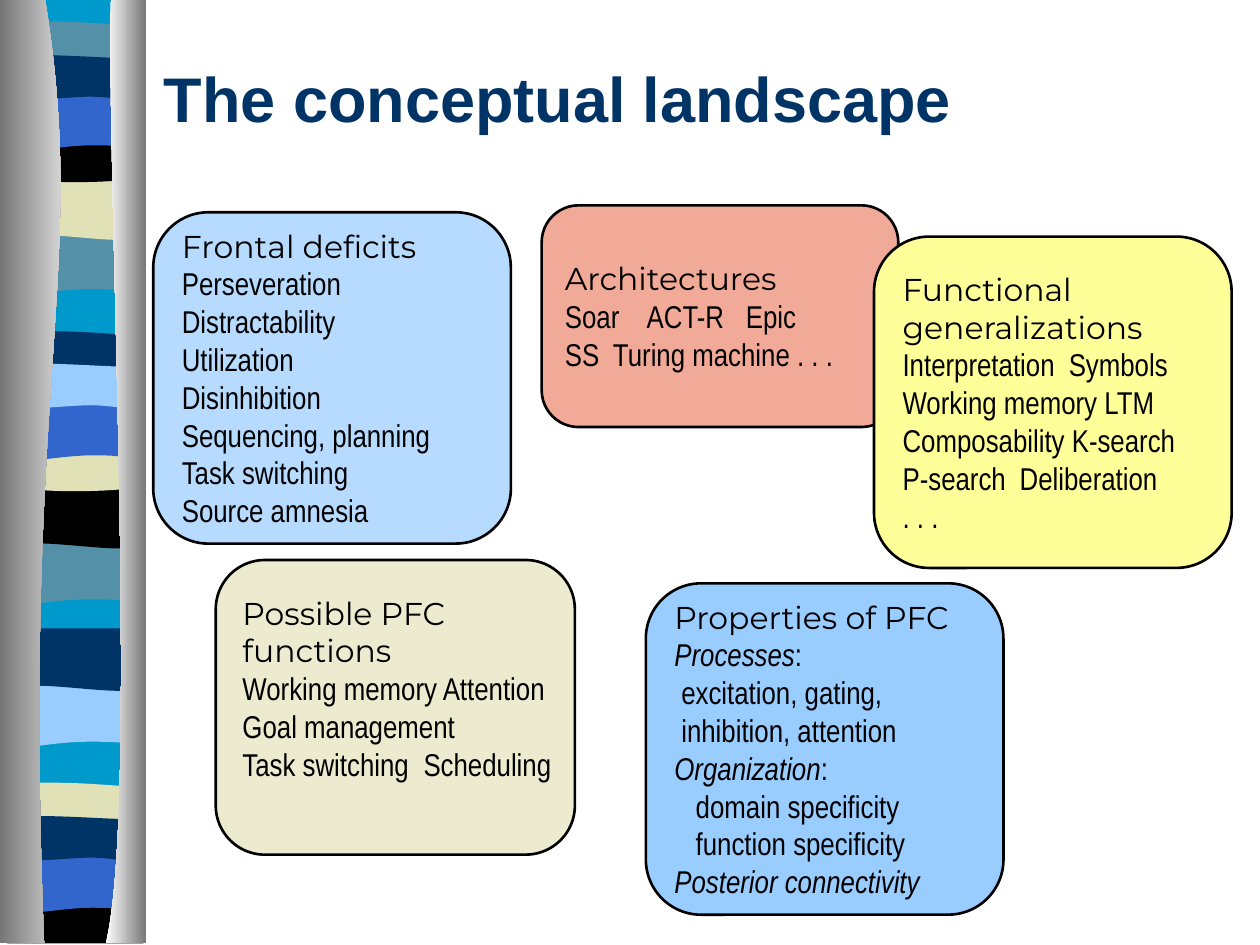
from dataclasses import dataclass

from lxml.etree import SubElement
from pptx import Presentation
from pptx.dml.color import RGBColor
from pptx.enum.shapes import MSO_SHAPE
from pptx.enum.text import MSO_ANCHOR, PP_ALIGN
from pptx.oxml.ns import qn
from pptx.util import Cm, Pt


@dataclass(frozen=True)
class Theme:
    navy: str = "003366"
    cyan: str = "0099CC"
    steel: str = "5490A8"
    blue: str = "3366CC"
    sky: str = "99CCFF"
    pale_blue: str = "B7DBFF"
    sand: str = "E1E1B7"
    cream: str = "ECEBCF"
    salmon: str = "F1AA97"
    yellow: str = "FFFF99"
    black: str = "000000"
    white: str = "FFFFFF"
    grey: str = "767676"
    title_font: str = "Arial"
    heading_font: str = "Montserrat"
    body_font: str = "Arial Narrow"
    title_size: int = 36
    body_size: int = 18


T = Theme()


def add_outline(shapes, edges, left=0, top=0):
    """Join edges into one closed shape; an edge of two points is straight,
    a longer one is a start followed by control, control, end triples."""
    pts = [(Cm(left + x), Cm(top + y)) for edge in edges for x, y in edge]
    builder = shapes.build_freeform(*pts[0], scale=1.0)
    builder.add_line_segments(pts[1:], close=True)
    sp = builder.convert_to_shape()
    sp.shadow.inherit = False
    sp.line.fill.background()
    steps = list(sp._element.iter(qn("a:moveTo"), qn("a:lnTo")))
    first = 0
    for edge in edges:
        for i in range(first + 1, first + len(edge) - 2, 3):
            curve = steps[i]
            curve.tag = qn("a:cubicBezTo")
            for step in steps[i + 1:i + 3]:
                curve.append(step[0])
                step.getparent().remove(step)
        first += len(edge)
    return sp


prs = Presentation()
prs.slide_width, prs.slide_height = Cm(25.4), Cm(19.05)
s = prs.slides.add_slide(prs.slide_layouts[5])

# Striped ribbon: each band is a top edge (left to right) and a bottom edge (back)
W = 2.74
FLAT = [(0, 0), (W, 0)]
SAG = [(0, 0), (1.68, 0.13), (2.16, 0), (W, 0)]
BANDS = {
    "dip": (FLAT, [(W, 1.19), (0.84, 0.99), (0.46, 1.39), (0, 1.19)]),
    "wave": (FLAT, [(W, 1.19), (2.29, 1.4), (0.84, 1.04), (0, 1.19)]),
    "thin": ([(0, 0.13), (0.15, 0), (0.58, 0.03), (1.04, 0.03),
              (1.5, 0.03), (2.39, 0.1), (W, 0.13)],
             [(W, 0.74), (2.29, 0.84), (0.46, 0.84), (0, 0.74)]),
    "bowl": (SAG, [(W, 0.82), (2.29, 0.97), (0.46, 0.97), (0, 0.82)]),
    "arch": (FLAT, [(W, 1.19), (2.31, 1.05), (2.13, 1.05), (1.68, 1.05),
                    (1.22, 1.05), (0.41, 1.19), (0, 1.19)]),
    "ripple": ([(0, 0.13), (0.38, 0), (1.85, 0.13), (2.31, 0.13),
                (2.77, 0.13), (2.64, 0.13), (W, 0.13)],
               [(W, 0.91), (2.56, 1.04), (2.13, 0.91), (1.68, 0.91),
                (1.22, 0.91), (0.28, 1.04), (0, 0.91)]),
    "end": (SAG, [(W, 0.94), (0, 0.94)]),
    "base": (FLAT, [(W, 19), (0, 19)]),
}
STRIPES = [
    ("base", 0, T.cyan),
    ("dip", 4.7, T.steel), ("wave", 3.58, T.sand), ("thin", 0.41, T.steel),
    ("bowl", 2.74, T.black), ("arch", 1.88, T.blue), ("ripple", 1.04, T.navy),
    ("dip", 10.95, T.steel), ("wave", 9.8, T.black), ("thin", 6.65, T.navy),
    ("bowl", 8.97, T.sand), ("arch", 8.13, T.blue), ("ripple", 7.26, T.sky),
    ("dip", 13.82, T.sky), ("wave", 12.67, T.navy), ("thin", 15.75, T.sand),
    ("end", 18.08, T.black), ("arch", 17.25, T.blue), ("ripple", 16.38, T.navy),
]
ribbon = s.shapes.add_group_shape()
for band, top, color in STRIPES:
    sp = add_outline(ribbon.shapes, BANDS[band], 0.15, top)
    sp.fill.solid()
    sp.fill.fore_color.rgb = RGBColor.from_string(color)

# Metallic edges over both sides of the ribbon
EDGES = [
    ([(0.91, 0), (1.8, 5.49), (0.43, 7.52), (0.89, 19.02)], 0, (T.grey, T.white)),
    ([(2.24, 0), (2.13, 3.18), (2.82, 16.41), (2.13, 19.02)], 2.95, (T.white, T.grey)),
]
for curve, side, colors in EDGES:
    sp = add_outline(ribbon.shapes, (curve, [(side, 19.02), (side, 0)]))
    sp.fill.gradient()
    sp.fill.gradient_angle = 0
    for stop, position, color in zip(sp.fill.gradient_stops, (0, 1), colors):
        stop.position = position
        stop.color.rgb = RGBColor.from_string(color)

# The ribbon belongs to the master, behind its placeholders
for number, props in enumerate(ribbon._element.iter(qn("p:cNvPr")), 100):
    props.set("id", str(number))
prs.slide_master.shapes._spTree.insert(2, ribbon._element)

title = s.shapes.title
title.left, title.top, title.width, title.height = Cm(3.05), Cm(0.37), Cm(21.59), Cm(3.18)
tf = title.text_frame
tf.text = "The conceptual landscape"
tf.vertical_anchor = MSO_ANCHOR.MIDDLE
p = tf.paragraphs[0]
p.alignment = PP_ALIGN.LEFT
f = p.runs[0].font
f.name, f.size, f.bold = T.title_font, Pt(T.title_size), True
f.color.rgb = RGBColor.from_string(T.navy)

# Box: position, fill, bottom inset, heading lines, body lines.
# Body line: text (italic part before "|"), indent, tab stops.
BOXES = [
    ((3.09, 4.28, 7.21, 6.68), T.pale_blue, 0.13, ["Frontal deficits"],
     [("Perseveration", 0, ()), ("Distractability", 0, ()), ("Utilization", 0, ()),
      ("Disinhibition", 0, ()), ("Sequencing, planning", 0, ()),
      ("Task switching", 0, ()), ("Source amnesia", 0, ())]),
    ((10.92, 4.14, 7.19, 4.47), T.salmon, 0.13, ["Architectures"],
     [("Soar\tACT-R\tEpic", 0, (1.65, 3.65)),
      ("SS\tTuring machine . . .", 0, (0.97,))]),
    ((13.02, 11.76, 7.21, 6.68), T.sky, 0.13, ["Properties of PFC"],
     [("Processes|:", 0, ()), ("excitation, gating,", 0.14, ()),
      ("inhibition, attention", 0.14, ()), ("Organization|:", 0, ()),
      ("domain specificity", 0.43, ()), ("function specificity", 0.43, ()),
      ("Posterior connectivity|", 0, ())]),
    ((4.35, 11.29, 7.24, 5.94), T.cream, 0.9, ["Possible PFC", "functions"],
     [("Working memory Attention", 0, ()), ("Goal management", 0, ()),
      ("Task switching\tScheduling", 0, (3.65,))]),
    ((17.62, 4.77, 7.21, 6.68), T.yellow, 0.13, ["Functional", "generalizations"],
     [("Interpretation\tSymbols", 0, (3.35,)), ("Working memory LTM", 0, ()),
      ("Composability K-search", 0, ()), ("P-search\tDeliberation", 0, (2.36,)),
      (". . .", 0, ())]),
]
for place, fill, bottom, heading, body in BOXES:
    sp = s.shapes.add_shape(MSO_SHAPE.ROUNDED_RECTANGLE, *map(Cm, place))
    sp.shadow.inherit = False
    sp.fill.solid()
    sp.fill.fore_color.rgb = RGBColor.from_string(fill)
    sp.line.color.rgb = RGBColor.from_string(T.black)
    sp.line.width = Pt(1.5)
    tf = sp.text_frame
    tf.word_wrap = False
    tf.vertical_anchor = MSO_ANCHOR.MIDDLE
    tf.margin_bottom = Cm(bottom)
    lines = [(text, 0, (), T.heading_font) for text in heading]
    lines += [(*line, T.body_font) for line in body]
    for i, (text, indent, tabs, font) in enumerate(lines):
        p = tf.paragraphs[0] if i == 0 else tf.add_paragraph()
        p.alignment = PP_ALIGN.LEFT
        pPr = p._p.get_or_add_pPr()
        if indent:
            pPr.set("marL", str(Cm(indent)))
        if tabs:
            tab_list = SubElement(pPr, qn("a:tabLst"))
            for stop in tabs:
                SubElement(tab_list, qn("a:tab"), pos=str(Cm(stop)), algn="l")
        italic, _, plain = text.rpartition("|")
        for part, slanted in ((italic, True), (plain, False)):
            if part:
                r = p.add_run()
                r.text = part
                r.font.name, r.font.size = font, Pt(T.body_size)
                r.font.italic = slanted
                r.font.color.rgb = RGBColor.from_string(T.black)

prs.save("out.pptx")
